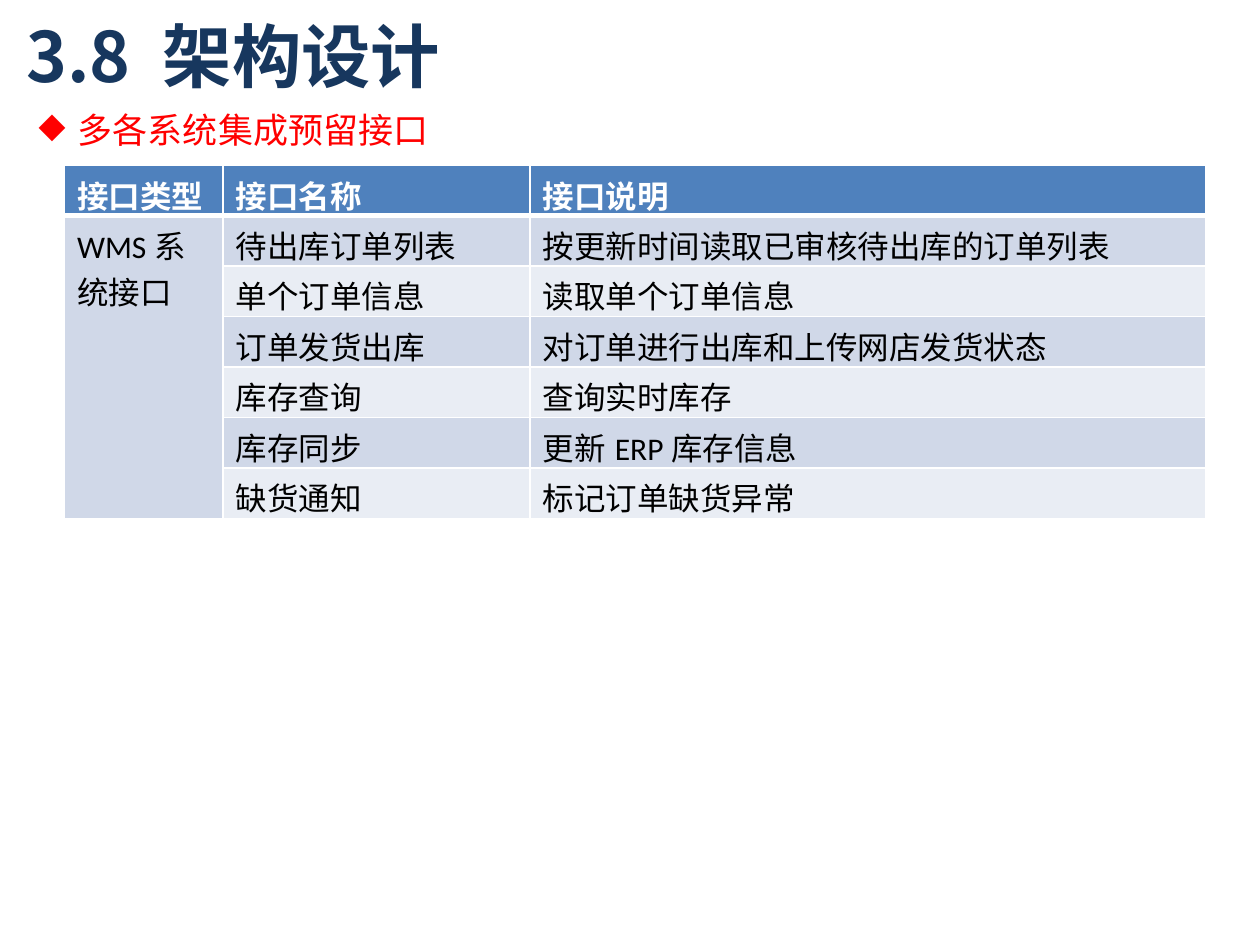
from dataclasses import dataclass
from lxml import etree
from pptx import Presentation
from pptx import util as u
from pptx.dml.color import RGBColor
from pptx.enum import text
from pptx.oxml import ns


@dataclass(frozen=True)
class Theme:
    navy: str = "17375E"
    red: str = "FF0000"
    white: str = "FFFFFF"
    black: str = "000000"
    head: str = "4F81BD"
    bands: tuple = ("D0D8E8", "E9EDF4")
    title: float = 39.6
    lead: float = 20
    body: float = 18
    sans: str = "Calibri"
    cjk: str = "Noto Sans CJK SC"


T = Theme()
HEADS = ["接口类型", "接口名称", "接口说明"]
GROUP = "WMS系统接口"
CALLS = [
    ("待出库订单列表", "按更新时间读取已审核待出库的订单列表"),
    ("单个订单信息", "读取单个订单信息"),
    ("订单发货出库", "对订单进行出库和上传网店发货状态"),
    ("库存查询", "查询实时库存"),
    ("库存同步", "更新ERP库存信息"),
    ("缺货通知", "标记订单缺货异常"),
]


def write(para, words, size, color, bold=False, face=T.sans):
    run = para.add_run()
    run.text = words
    font = run.font
    font.size, font.bold, font.name = u.Pt(size), bold, face
    font.color.rgb = RGBColor.from_string(color)
    return run


def add_title(slide, box):
    frame = slide.shapes.add_textbox(*box).text_frame
    frame.word_wrap = True
    frame.vertical_anchor = text.MSO_ANCHOR.MIDDLE
    run = write(frame.paragraphs[0], "3.8 架构设计", T.title, T.navy, True, T.cjk)
    etree.SubElement(run.font._element, ns.qn("a:ea"), typeface=T.cjk)


def add_lead(slide, box):
    frame = slide.shapes.add_textbox(*box).text_frame
    frame.word_wrap = False
    frame.auto_size = text.MSO_AUTO_SIZE.SHAPE_TO_FIT_TEXT
    para = frame.paragraphs[0]
    write(para, "多各系统集成预留接口", T.lead, T.red)
    # Diamond bullet with a hanging indent
    props = para._p.get_or_add_pPr()
    hang = u.Cm(0.79)
    props.set("marL", str(hang))
    props.set("indent", str(-hang))
    etree.SubElement(props, ns.qn("a:buChar"), char="◆")


def add_edges(cell, top, base):
    props = cell._tc.get_or_add_tcPr()
    for i, (side, width) in enumerate(zip("LRTB", (1, 1, top, base))):
        line = etree.Element(ns.qn(f"a:ln{side}"), w=str(u.Pt(width)))
        fill = etree.SubElement(line, ns.qn("a:solidFill"))
        etree.SubElement(fill, ns.qn("a:srgbClr"), val=T.white)
        props.insert(i, line)


def add_grid(slide, box):
    rows = [HEADS] + [(GROUP if i == 0 else "", *call) for i, call in enumerate(CALLS)]
    grid = slide.shapes.add_table(len(rows), len(HEADS), *box).table
    # Column shares of the full width
    for col, share in zip(grid.columns, (0.139, 0.269, 0.592)):
        col.width = int(box[2] * share)
    for r, row in enumerate(rows):
        grid.rows[r].height = int(box[3] / len(rows))
        for c, words in enumerate(row):
            cell = grid.cell(r, c)
            top = r == 0
            shade = T.head if top else T.bands[0 if c == 0 else (r - 1) % 2]
            cell.fill.solid()
            cell.fill.fore_color.rgb = RGBColor.from_string(shade)
            add_edges(cell, 3 if r == 1 else 1, 3 if top else 1)
            if words:
                color = T.white if top else T.black
                write(cell.text_frame.paragraphs[0], words, T.body, color, top)
    grid.cell(1, 0).merge(grid.cell(len(CALLS), 0))


def main():
    deck = Presentation()
    deck.slide_width, deck.slide_height = u.Cm(25.4), u.Cm(19.05)
    slide = deck.slides.add_slide(deck.slide_layouts[6])
    add_title(slide, [u.Cm(n) for n in (0.28, 0.3, 11.68, 1.63)])
    add_lead(slide, [u.Cm(n) for n in (0.53, 2.06, 8.43, 1.12)])
    add_grid(slide, [u.Cm(n) for n in (1.3, 3.33, 23.01, 7.11)])
    deck.save("out.pptx")


if __name__ == "__main__":
    main()
